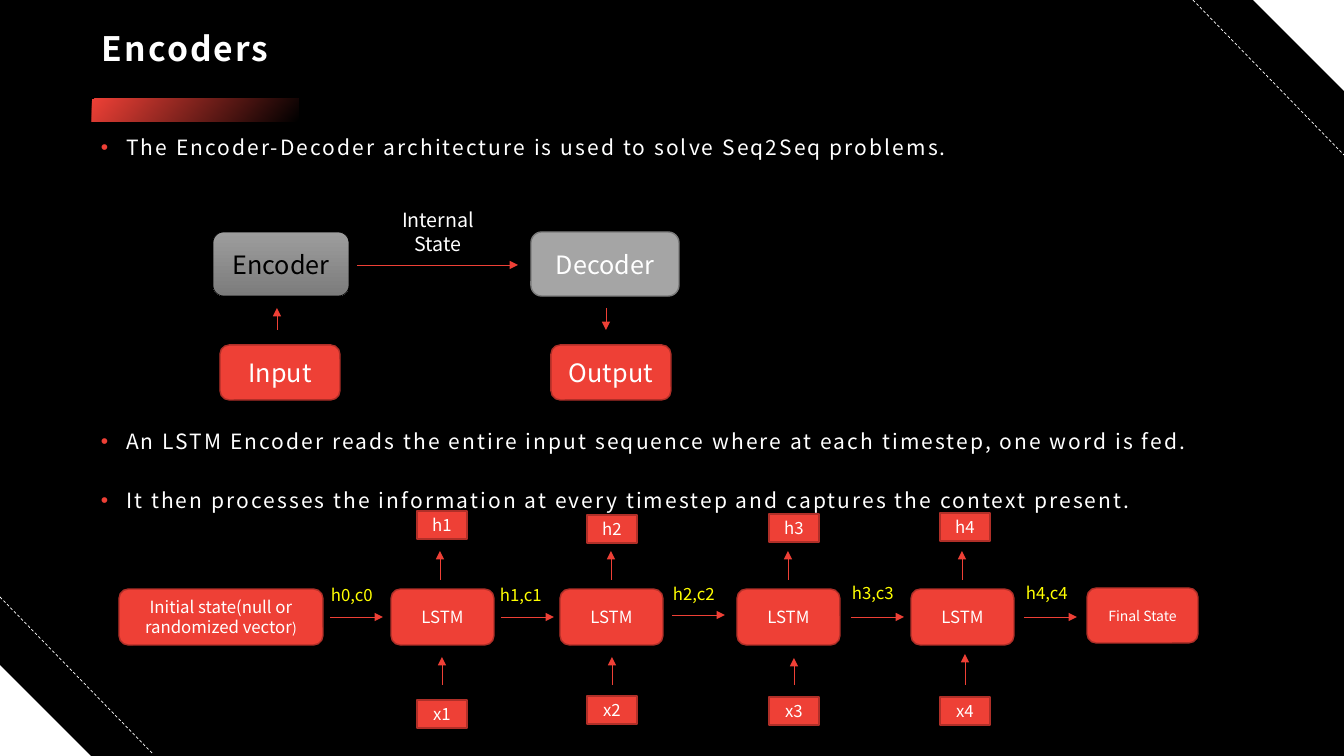
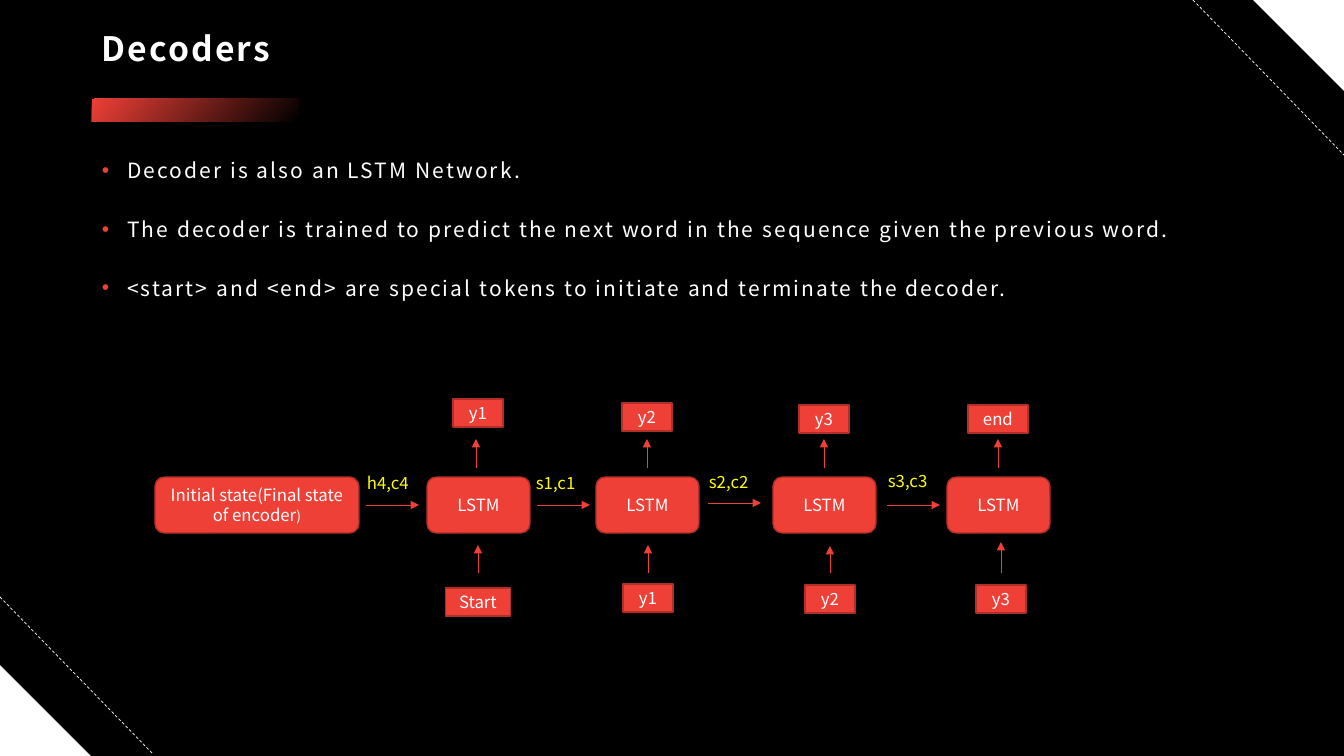
from collections import namedtuple

from lxml import etree
from pptx import Presentation
from pptx import util as u
from pptx.dml import color
from pptx.enum import dml, shapes, text
from pptx.oxml import ns

SCALE = 12192000 / 1344
WHITE, BLACK, RED, DARK_RED, YELLOW = "FFFFFF", "000000", "EE4036", "B02F28", "FFFF00"
GREY, DARK_GREY = "A5A5A5", "7A7A7A"
ENCODER_SHADES = ("9D9D9D", "7C7C7C")
BODY_FONT, TITLE_FONT = "Noto Sans CJK JP", "Noto Sans CJK TC"
RECT = shapes.MSO_SHAPE.RECTANGLE
ROUNDED = shapes.MSO_SHAPE.ROUNDED_RECTANGLE
TRIANGLE = shapes.MSO_SHAPE.RIGHT_TRIANGLE
CENTER = text.PP_ALIGN.CENTER
MIDDLE = text.MSO_ANCHOR.MIDDLE

Step = namedtuple("Step", "cell_x output_arrow_x input_x input_y input_tip_y")
State = namedtuple("State", "arrow_x arrow_y label_x label_y")
Token = namedtuple("Token", "word x y width", defaults=(50,))

STEPS = (
    Step(391, 440, 442, 700, 657),
    Step(560, 611, 612, 696, 657),
    Step(737, 788, 794, 697, 658),
    Step(911, 962, 965, 697, 654),
)
STATES = (
    State(330, 617, 321, 580),
    State(501, 617, 490, 580),
    State(672, 615, 663, 579),
    State(851, 617, 842, 578),
    State(1024, 617, 1016, 578),
)


def px(length):
    return u.Emu(round(length * SCALE))


def rgb(value):
    return color.RGBColor.from_string(value)


def apply_format(target, values):
    for name, value in values.items():
        setattr(target, name, value)


class Deck:
    def __init__(self):
        self.prs = Presentation()
        self.prs.slide_width, self.prs.slide_height = px(1344), px(756)
        self.slide = None

    def start(self, title):
        self.slide = self.prs.slides.add_slide(self.prs.slide_layouts[6])
        background = self.slide.background.fill
        background.solid()
        background.fore_color.rgb = rgb(BLACK)
        self.shape(TRIANGLE, 0, 665, 91, 91, WHITE)
        self.shape(TRIANGLE, 1253, 0, 91, 91, WHITE).rotation = 180
        self.line(0, 597, 153, 754, WHITE, dashed=True)
        self.line(1193, 0, 1344, 155, WHITE, dashed=True)
        self.shape(RECT, 92, 99, 207, 23, (RED, BLACK), angle=320)
        heading = self.text_box(92, 18, 1160, 65)
        heading.vertical_anchor = MIDDLE
        paragraph = heading.paragraphs[0]
        paragraph.line_spacing = 0.9
        self.run(paragraph, title, 24, font=TITLE_FONT, bold=True, spacing=150)

    def run(self, paragraph, words, size, ink=WHITE, font=BODY_FONT, bold=False, spacing=0):
        run = paragraph.add_run()
        run.text = words
        apply_format(run.font, {"size": u.Pt(size), "name": font, "bold": bold})
        run.font.color.rgb = rgb(ink)
        if spacing:
            run.font._element.set("spc", str(spacing))

    def shape(self, kind, x, y, width, height, fill, outline=None, weight=1, angle=270):
        shape = self.slide.shapes.add_shape(kind, px(x), px(y), px(width), px(height))
        shape.shadow.inherit = False
        if isinstance(fill, tuple):
            shape.fill.gradient()
            shape.fill.gradient_angle = angle
            for stop, shade, position in zip(shape.fill.gradient_stops, fill, (0, 1)):
                stop.color.rgb = rgb(shade)
                stop.position = position
        else:
            shape.fill.solid()
            shape.fill.fore_color.rgb = rgb(fill)
        if outline:
            shape.line.color.rgb = rgb(outline)
            shape.line.width = u.Pt(weight)
        else:
            shape.line.fill.background()
        return shape

    def box(self, words, x, y, width, height, size=12, kind=ROUNDED, fill=RED,
            outline=DARK_RED, weight=1, ink=WHITE, ending=""):
        frame = self.shape(kind, x, y, width, height, fill, outline, weight).text_frame
        apply_format(frame, {"word_wrap": True, "vertical_anchor": MIDDLE})
        paragraph = frame.paragraphs[0]
        paragraph.alignment = CENTER
        self.run(paragraph, words, size, ink)
        if ending:
            self.run(paragraph, ending, 10, ink)

    def text_box(self, x, y, width, height):
        frame = self.slide.shapes.add_textbox(px(x), px(y), px(width), px(height)).text_frame
        frame.word_wrap = True
        return frame

    def label(self, words, x, y, width, height, size=12, ink=YELLOW, align=None):
        paragraph = self.text_box(x, y, width, height).paragraphs[0]
        paragraph.alignment = align
        self.run(paragraph, words, size, ink)

    def bullets(self, x, y, sentences):
        frame = self.text_box(x, y, 1161, 59 * len(sentences))
        for index, sentence in enumerate(sentences):
            paragraph = frame.add_paragraph() if index else frame.paragraphs[0]
            apply_format(paragraph, {"line_spacing": 1.5, "space_before": u.Pt(15 if index else 0)})
            properties = paragraph._p.get_or_add_pPr()
            properties.set("marL", "228600")
            properties.set("indent", "-228600")
            bullet_color = etree.SubElement(properties, ns.qn("a:buClr"))
            etree.SubElement(bullet_color, ns.qn("a:srgbClr"), val=RED)
            etree.SubElement(properties, ns.qn("a:buFont"), typeface="Arial")
            etree.SubElement(properties, ns.qn("a:buChar"), char="•")
            self.run(paragraph, sentence, 15, spacing=150)

    def line(self, x1, y1, x2, y2, ink=RED, dashed=False):
        line = self.slide.shapes.add_connector(
            shapes.MSO_CONNECTOR.STRAIGHT, px(x1), px(y1), px(x2), px(y2))
        line.line.color.rgb = rgb(ink)
        line.line.width = u.Pt(0.5)
        if dashed:
            line.line.dash_style = dml.MSO_LINE_DASH_STYLE.DASH
        etree.SubElement(line._element.spPr, ns.qn("a:effectLst"))
        return line

    def arrow(self, x1, y1, x2, y2):
        outline = self.line(x1, y1, x2, y2).line._get_or_add_ln()
        etree.SubElement(outline, ns.qn("a:tailEnd"), type="triangle")

    def chain(self, dx, dy, initial, states, outputs, inputs):
        self.box(initial, 119 + dx, 589 + dy, 204, 56, ending=")")
        for state, words in zip(STATES, states):
            x, y = state.arrow_x + dx, state.arrow_y + dy
            self.arrow(x, y, x + 53, y)
            self.label(words, state.label_x + dx, state.label_y + dy, 72, 30)
        for step, output, (word, width) in zip(STEPS, outputs, inputs):
            self.box("LSTM", step.cell_x + dx, 589 + dy, 103, 56)
            x = step.output_arrow_x + dx
            self.arrow(x, 580 + dy, x, 551 + dy)
            x = step.input_x + dx
            self.arrow(x, 685 + dy, x, step.input_tip_y + dy)
            for token in (output, Token(word, step.input_x, step.input_y, width)):
                self.box(token.word, token.x + dx - token.width / 2, token.y + dy,
                         token.width, 28, kind=RECT)


def encoders(deck):
    deck.start("Encoders")
    deck.bullets(91, 117, ["The Encoder-Decoder architecture is used to solve Seq2Seq problems."])
    deck.bullets(91, 411, [
        "An LSTM Encoder reads the entire input sequence where at each timestep, one word is fed.",
        "It then processes the information at every timestep and captures the context present.",
    ])
    deck.box("Encoder", 213, 232, 136, 64, 18, fill=ENCODER_SHADES, outline=BLACK,
             weight=0.5, ink=BLACK)
    deck.box("Decoder", 531, 232, 148, 64, 18, fill=GREY, outline=DARK_GREY)
    deck.box("Input", 220, 345, 120, 55, 18)
    deck.box("Output", 551, 345, 120, 55, 18)
    deck.arrow(277, 330, 277, 308)
    deck.arrow(357, 265, 518, 265)
    deck.arrow(606, 308, 606, 330)
    deck.label("Internal State", 379, 203, 118, 57, 14, WHITE, CENTER)
    deck.chain(
        0, 0, "Initial state(null or randomized vector",
        ["h0,c0", "h1,c1", "h2,c2", "h3,c3", "h4,c4"],
        [Token("h1", 442, 511), Token("h2", 612, 515), Token("h3", 794, 514), Token("h4", 965, 513)],
        [("x1", 50), ("x2", 50), ("x3", 50), ("x4", 50)],
    )
    deck.box("Final State", 1087, 588, 111, 55, 10)


def decoders(deck):
    deck.start("Decoders")
    deck.bullets(92, 140, [
        "Decoder is also an LSTM Network.",
        "The decoder is trained to predict the next word in the sequence given the previous word.",
        "<start> and <end> are special tokens to initiate and terminate the decoder.",
    ])
    deck.chain(
        36, -112, "Initial state(Final state of encoder",
        ["h4,c4", "s1,c1", "s2,c2", "s3,c3"],
        [Token("y1", 442, 511), Token("y2", 611, 515), Token("y3", 788, 517),
         Token("end", 962, 517, 60)],
        [("Start", 65), ("y1", 50), ("y2", 50), ("y3", 50)],
    )


def main():
    deck = Deck()
    encoders(deck)
    decoders(deck)
    deck.prs.save("out.pptx")


if __name__ == "__main__":
    main()
